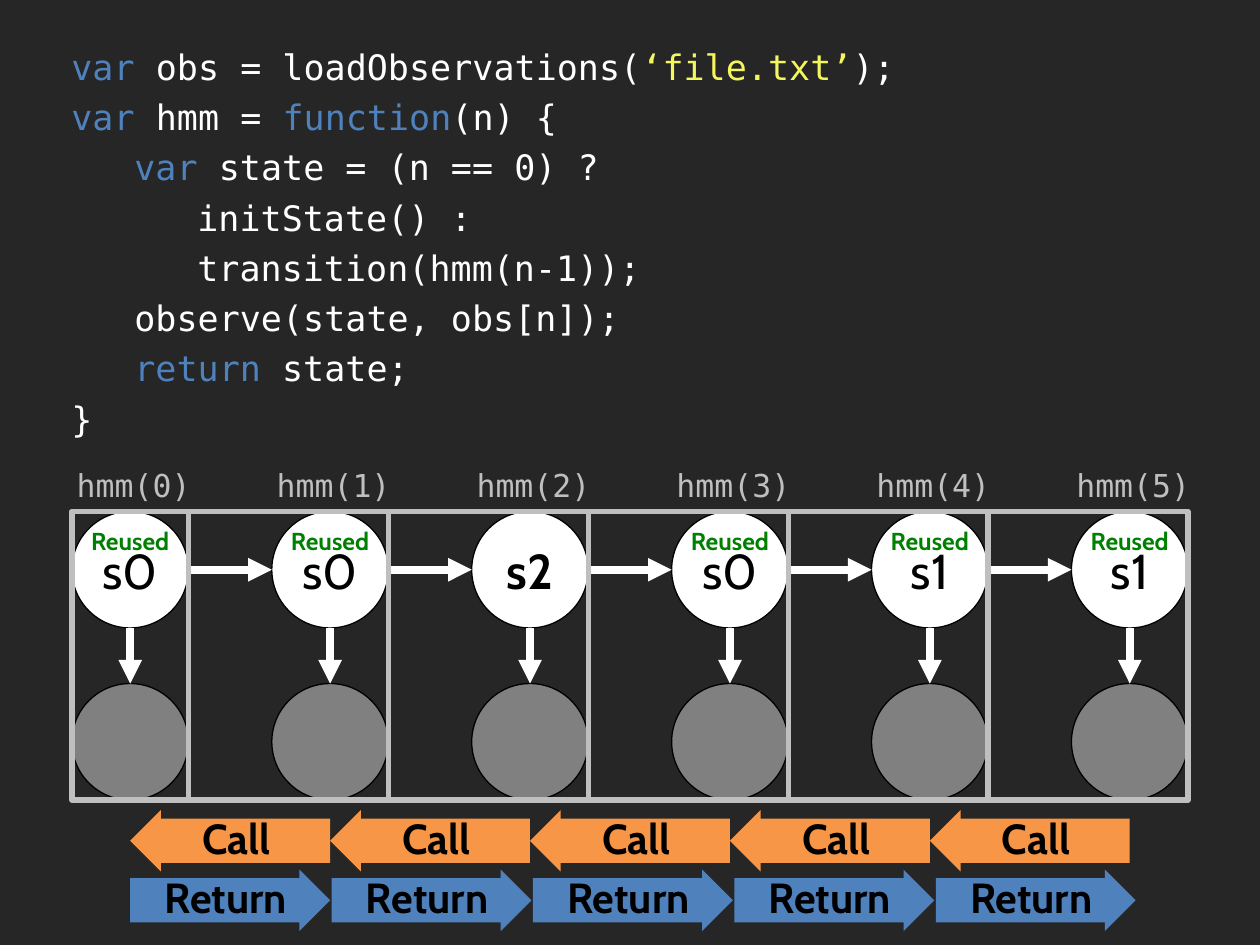
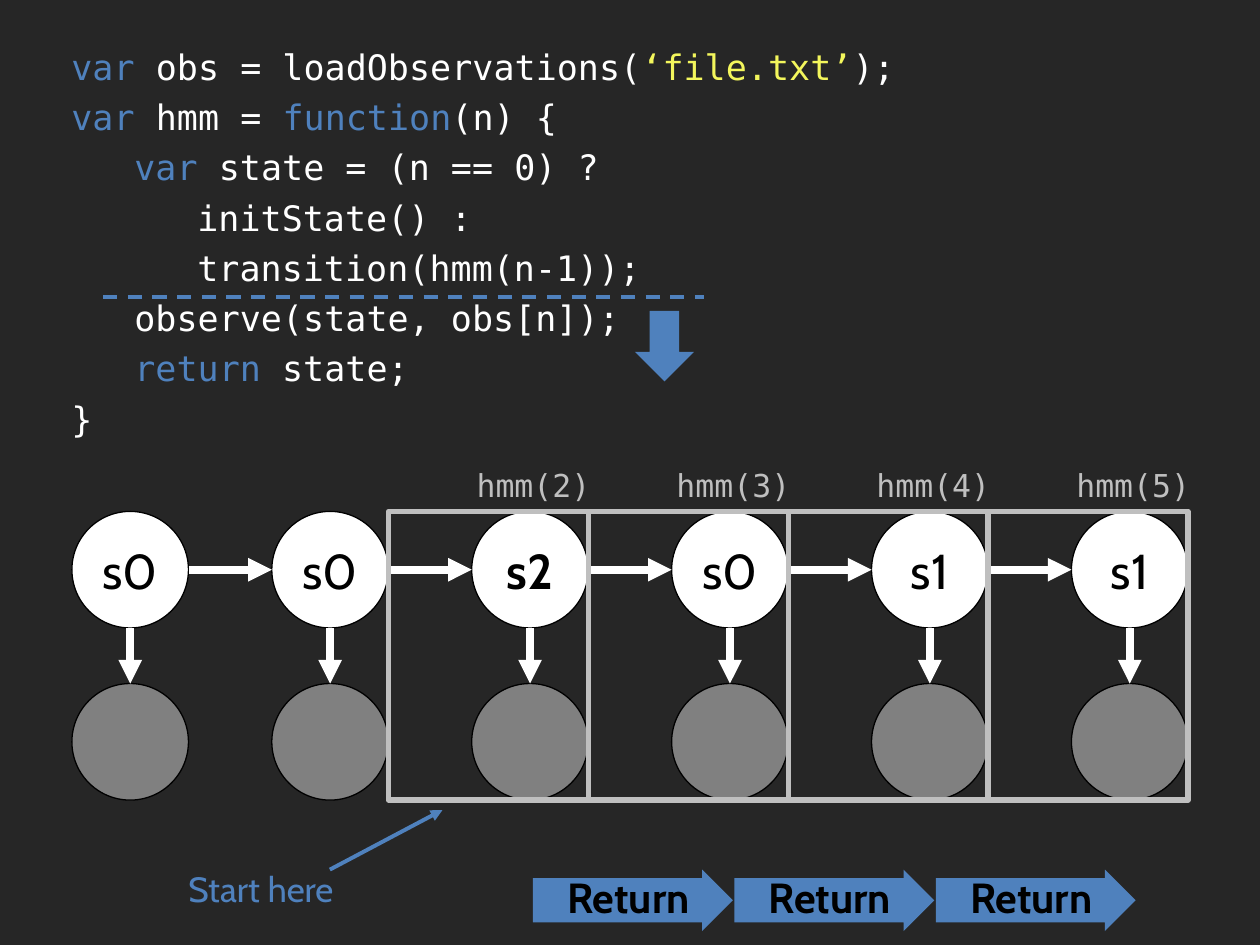
from pptx import Presentation
from pptx.dml.color import RGBColor
from pptx.enum.dml import MSO_LINE
from pptx.enum.shapes import MSO_CONNECTOR, MSO_SHAPE as SHAPE
from pptx.enum.text import MSO_ANCHOR, PP_ALIGN
from pptx.oxml.ns import qn
from pptx.util import Cm, Pt
from lxml.etree import SubElement

# Shared colours and fonts
colour = RGBColor.from_string
DARK, WHITE, BLACK = "262626", "FFFFFF", "000000"
BLUE, ORANGE, GREEN, YELLOW = "4F81BD", "F79646", "008000", "F3F65C"
GREY, SILVER = "808080", "BFBFBF"
SANS, MONO = "Cabin", "DejaVu Sans Mono"

# Shared chain geometry, in cm
STEP, SIZE = 4.03, 2.35
LEFTS = [1.45 + STEP * i for i in range(6)]
STATE_TOP, OBS_TOP = 10.31, 13.78
FRAME_HEIGHT = OBS_TOP + SIZE - STATE_TOP
RETURN_STEP = 4.06
STATES = ["s0", "s0", "s2", "s0", "s1", "s1"]
RESAMPLED = 2

CODE = [
    [("var ", BLUE), ("obs = loadObservations(", WHITE),
     ("‘file.txt’", YELLOW), (");", WHITE)],
    [("var ", BLUE), ("hmm = ", WHITE), ("function", BLUE), ("(n) {", WHITE)],
    [("\t", WHITE), ("var ", BLUE), ("state = (n == 0) ?", WHITE)],
    [("\t\tinitState() :", WHITE)],
    [("\t\ttransition(hmm(n-1));", WHITE)],
    [("\tobserve(state, obs[n]);", WHITE)],
    [("\t", WHITE), ("return ", BLUE), ("state;", WHITE)],
    [("}", WHITE)],
]


def add_block(page, kind, left, top, width, height, fill=None, line=None, weight=0.75):
    block = page.shapes.add_shape(kind, Cm(left), Cm(top), Cm(width), Cm(height))
    block.shadow.inherit = False
    if fill:
        block.fill.solid()
        block.fill.fore_color.rgb = colour(fill)
    else:
        block.fill.background()
    if line:
        block.line.color.rgb = colour(line)
        block.line.width = Pt(weight)
    else:
        block.line.fill.background()
    return block


def add_label(page, text, centre, top, width, height, size, ink, bold=False, font=SANS):
    box = page.shapes.add_textbox(Cm(centre - width / 2), Cm(top), Cm(width), Cm(height))
    box.text_frame.word_wrap = True
    para = box.text_frame.paragraphs[0]
    para.alignment = PP_ALIGN.CENTER
    span = para.add_run()
    span.text = text
    span.font.name, span.font.size, span.font.bold = font, Pt(size), bold
    span.font.color.rgb = colour(ink)


deck = Presentation()
deck.slide_width, deck.slide_height = Cm(25.4), Cm(19.05)

# Each slide: first framed call, and whether the whole chain is re-run
for first_frame, full_rerun in [(0, True), (2, False)]:
    page = deck.slides.add_slide(deck.slide_layouts[6])
    page.background.fill.solid()
    page.background.fill.fore_color.rgb = colour(DARK)

    # Program code
    box = page.shapes.add_textbox(Cm(1.19), Cm(0.79), Cm(18.5), Cm(8.74))
    box.text_frame.word_wrap = True
    for row, pieces in enumerate(CODE):
        para = box.text_frame.paragraphs[0] if row == 0 else box.text_frame.add_paragraph()
        para.space_before = Pt(4.7 if row else 0)
        tabs = SubElement(para._p.get_or_add_pPr(), qn("a:tabLst"))
        for stop in (1.27, 2.54):
            SubElement(tabs, qn("a:tab"), pos=str(Cm(stop)), algn="l")
        for text, ink in pieces:
            span = para.add_run()
            span.text = text
            span.font.name, span.font.size = MONO, Pt(20)
            span.font.color.rgb = colour(ink)

    # Hidden states above their observations
    for i, (left, state) in enumerate(zip(LEFTS, STATES)):
        circle = add_block(page, SHAPE.OVAL, left, STATE_TOP, SIZE, SIZE, WHITE, BLACK)
        frame = circle.text_frame
        frame.margin_left = frame.margin_right = 0
        frame.vertical_anchor = MSO_ANCHOR.MIDDLE
        para = frame.paragraphs[0]
        para.alignment = PP_ALIGN.CENTER
        span = para.add_run()
        span.text = state
        span.font.name, span.font.size, span.font.bold = SANS, Pt(28), i == RESAMPLED
        span.font.color.rgb = colour(BLACK)
        add_block(page, SHAPE.OVAL, left, OBS_TOP, SIZE, SIZE, GREY, BLACK)

    # Lines: x1, y1, x2, y2, colour, weight, dashed
    middle = STATE_TOP + SIZE / 2
    lines = [(x + SIZE / 2, STATE_TOP + SIZE, x + SIZE / 2, OBS_TOP, WHITE, 4.5, False)
             for x in LEFTS]
    lines += [(x + SIZE, middle, x + STEP, middle, WHITE, 4.5, False) for x in LEFTS[:-1]]
    if not full_rerun:
        lines += [(6.65, 17.53, 8.92, 16.33, BLUE, 2.25, False),
                  (2.08, 5.99, 14.2, 5.99, BLUE, 2, True)]
    for x1, y1, x2, y2, ink, weight, dashed in lines:
        link = page.shapes.add_connector(MSO_CONNECTOR.STRAIGHT, Cm(x1), Cm(y1), Cm(x2), Cm(y2))
        link.line.color.rgb = colour(ink)
        link.line.width = Pt(weight)
        if dashed:
            link.line.dash_style = MSO_LINE.DASH
        else:
            SubElement(link.line._get_or_add_ln(), qn("a:tailEnd"), type="triangle")
        SubElement(link._element.spPr, qn("a:effectLst"))

    # Call frames; each one after the first also spans the incoming arrow
    for i in range(first_frame, len(LEFTS)):
        width = STEP if i else SIZE
        right = LEFTS[i] + SIZE
        add_block(page, SHAPE.RECTANGLE, right - width, STATE_TOP, width, FRAME_HEIGHT,
                  line=SILVER, weight=3)
        centre = LEFTS[i] + SIZE / 2
        add_label(page, f"hmm({i})", centre + 0.07, 9.28, 3.2, 1.02, 18, SILVER, font=MONO)
        if full_rerun and i != RESAMPLED:
            add_label(page, "Reused", centre, 10.48, 2.31, 0.86, 14, GREEN, True)

    # Call and return arrows between neighbouring states
    for i in range(first_frame, len(LEFTS) - 1):
        start = LEFTS[0] + SIZE / 2
        arrows = [(SHAPE.RIGHT_ARROW, "Return", start + RETURN_STEP * i, 17.53, BLUE, -0.09)]
        if full_rerun:
            arrows.append((SHAPE.LEFT_ARROW, "Call", start + STEP * i, 16.33, ORANGE, 0.13))
        for kind, text, left, top, fill, shift in arrows:
            arrow = add_block(page, kind, left, top, STEP, 1.24, fill)
            arrow.adjustments[0], arrow.adjustments[1] = 0.72, 0.5
            add_label(page, text, left + STEP / 2 + shift, top - 0.08, 3.6, 1.27, 24, BLACK, True)

    # Resume point
    if not full_rerun:
        add_label(page, "Start here", 5.26, 17.37, 4.32, 1.12, 20, BLUE)
        add_block(page, SHAPE.DOWN_ARROW, 12.8, 6.27, 1.19, 1.42, BLUE)

deck.save("out.pptx")
